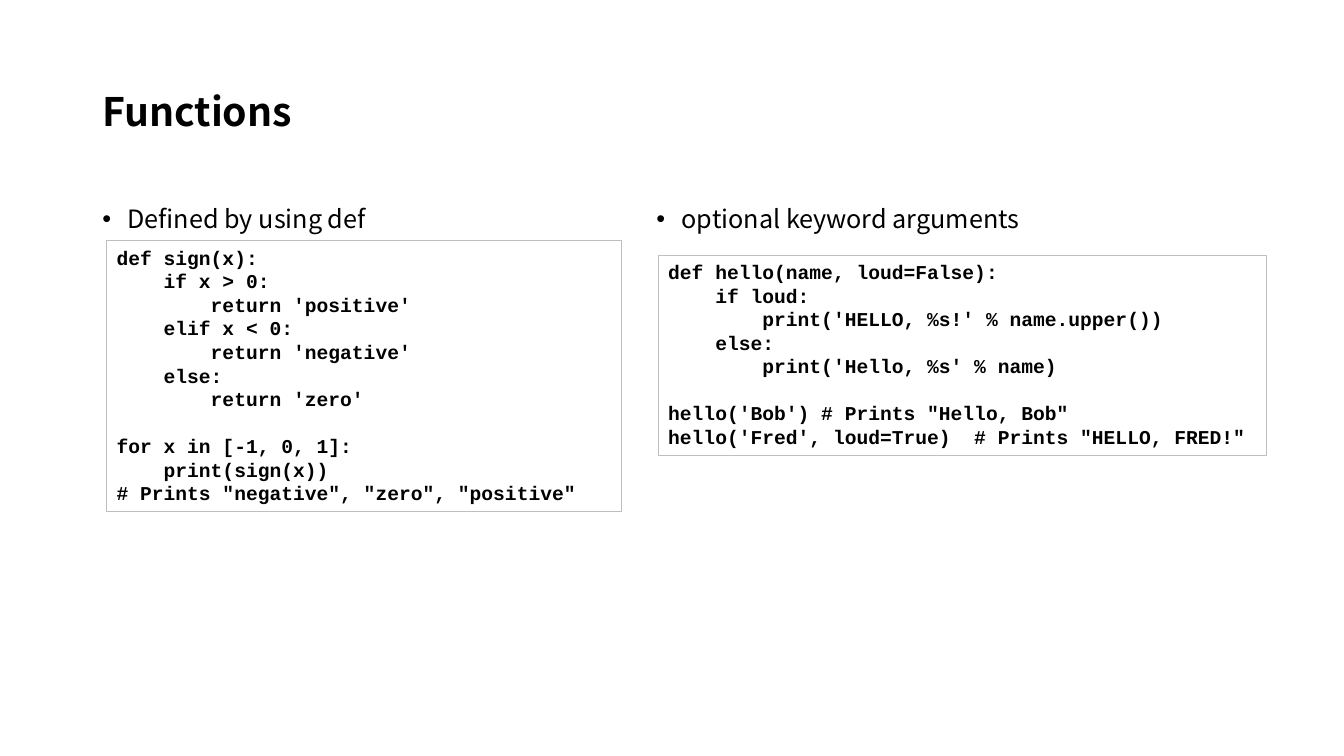
from lxml import etree
from pptx import Presentation
from pptx.dml.color import RGBColor
from pptx.enum.shapes import MSO_SHAPE
from pptx.enum.text import MSO_ANCHOR, MSO_AUTO_SIZE, PP_ALIGN
from pptx.oxml.ns import qn
from pptx.util import Pt

RECTANGLE = MSO_SHAPE.RECTANGLE
TOP, MIDDLE = MSO_ANCHOR.TOP, MSO_ANCHOR.MIDDLE
GROW = MSO_AUTO_SIZE.SHAPE_TO_FIT_TEXT
LEFT = PP_ALIGN.LEFT

BLACK = RGBColor(0x00, 0x00, 0x00)
GREY = RGBColor(0xBF, 0xBF, 0xBF)
TEXT_FONT = "Noto Sans CJK KR"
CODE_FONT = "Courier New"

SIGN_CODE = """\
def sign(x):
    if x > 0:
        return 'positive'
    elif x < 0:
        return 'negative'
    else:
        return 'zero'

for x in [-1, 0, 1]:
    print(sign(x))
# Prints "negative", "zero", "positive\""""

HELLO_CODE = """\
def hello(name, loud=False):
    if loud:
        print('HELLO, %s!' % name.upper())
    else:
        print('Hello, %s' % name)

hello('Bob') # Prints "Hello, Bob"
hello('Fred', loud=True)  # Prints "HELLO, FRED!\""""


def set_font(para, name, size, bold=False):
    font = para.font
    font.name, font.size, font.bold = name, Pt(size), bold
    font.color.rgb = BLACK


def add_text(page, text, left, top, width, height, size,
             bold=False, anchor=TOP, bullet=False):
    box = page.shapes.add_textbox(Pt(left), Pt(top), Pt(width), Pt(height))
    frame = box.text_frame
    frame.word_wrap = True
    frame.vertical_anchor = anchor
    para = frame.paragraphs[0]
    para.text = text
    para.line_spacing = 0.9
    if bullet:
        properties = para._p.get_or_add_pPr()
        properties.set("marL", str(Pt(18)))
        properties.set("indent", str(Pt(-18)))
        etree.SubElement(properties, qn("a:buFont")).set("typeface", "Arial")
        etree.SubElement(properties, qn("a:buChar")).set("char", "•")
    set_font(para, TEXT_FONT, size, bold)


def add_code(page, code, left, top, width, height):
    box = page.shapes.add_shape(RECTANGLE, Pt(left), Pt(top), Pt(width), Pt(height))
    box.shadow.inherit = False
    box.fill.background()
    box.line.color.rgb = GREY
    box.line.width = Pt(0.75)
    frame = box.text_frame
    frame.word_wrap = True
    frame.auto_size = GROW
    frame.vertical_anchor = TOP
    frame.text = code
    for para in frame.paragraphs:
        para.alignment = LEFT
        set_font(para, CODE_FONT, 14, bold=True)


def main():
    deck = Presentation()
    deck.slide_width, deck.slide_height = Pt(960), Pt(540)
    page = deck.slides.add_slide(deck.slide_layouts[6])

    # Title
    add_text(page, "Functions", 66, 28.75, 828, 104.4, 28, bold=True, anchor=MIDDLE)

    # Left column: basic definition
    add_text(page, "Defined by using def", 66, 144, 378, 28, 18, bullet=True)
    add_code(page, SIGN_CODE, 76.2, 172, 368, 193.7)

    # Right column: keyword arguments
    add_text(page, "optional keyword arguments", 461.8, 144, 378, 28, 18, bullet=True)
    add_code(page, HELLO_CODE, 470.2, 182.3, 434.7, 143.3)

    deck.save("out.pptx")


if __name__ == "__main__":
    main()
